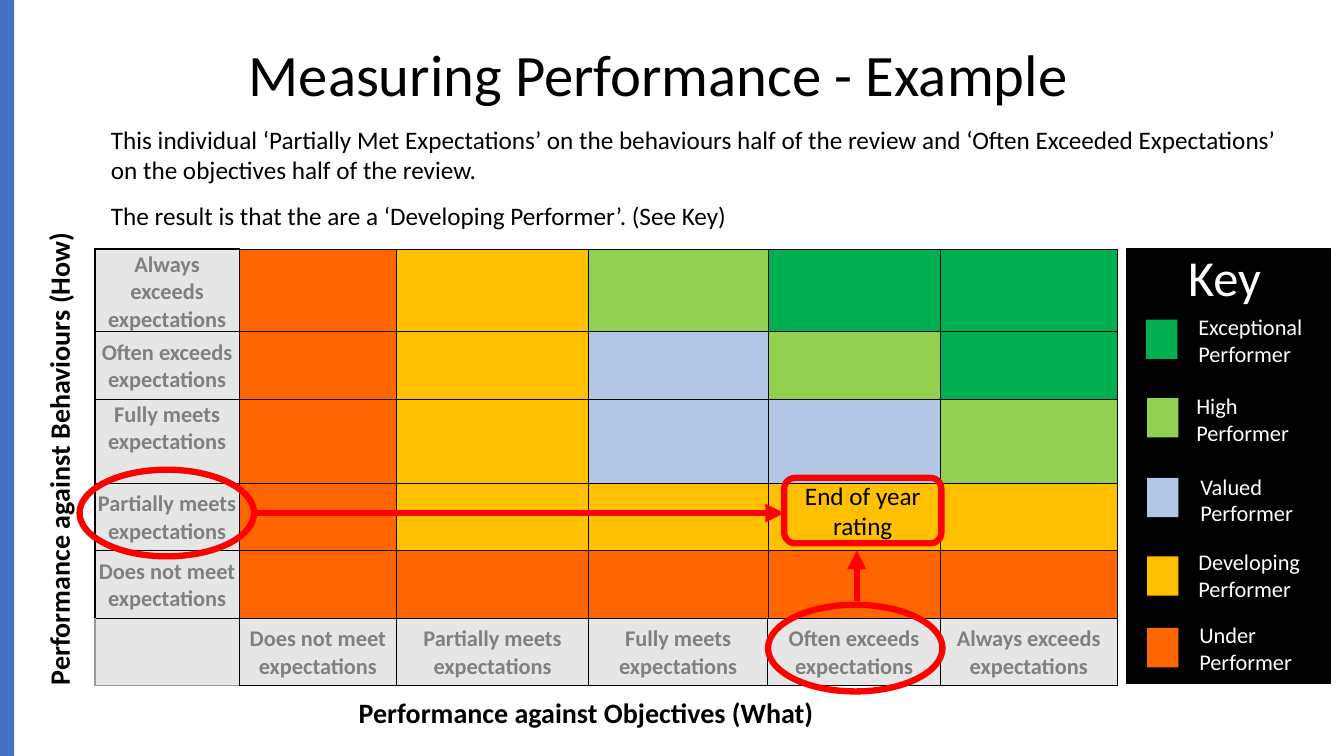
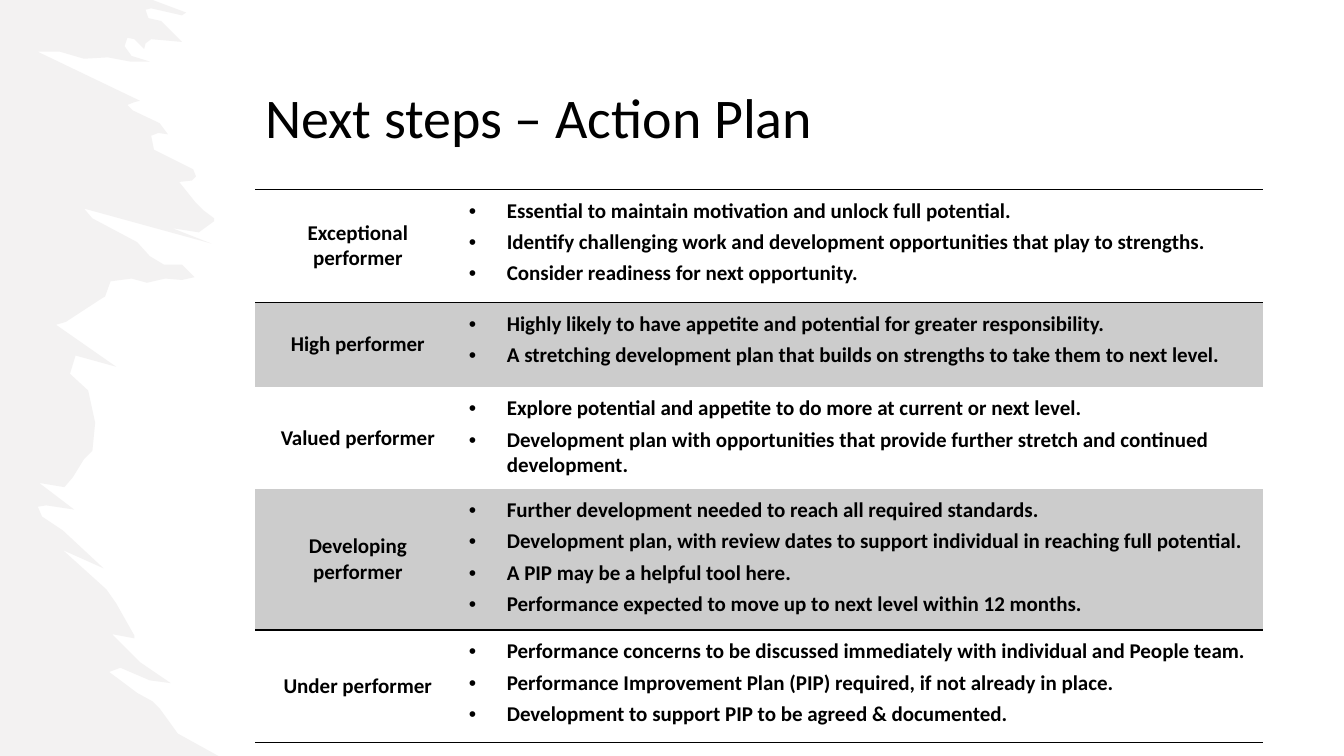
import pptx
import pptx.dml.color
import pptx.enum.shapes
import pptx.enum.text
import pptx.oxml
import pptx.oxml.ns
import pptx.util

Pt = pptx.util.Pt
RGBColor = pptx.dml.color.RGBColor
SHAPE = pptx.enum.shapes.MSO_SHAPE
ALIGN = pptx.enum.text.PP_ALIGN
ANCHOR = pptx.enum.text.MSO_ANCHOR

FONT = "Calibri"
BLACK = RGBColor(0x00, 0x00, 0x00)
WHITE = RGBColor(0xFF, 0xFF, 0xFF)
RED = RGBColor(0xFF, 0x00, 0x00)
BLUE = RGBColor(0x44, 0x72, 0xC4)
LABEL_FILL = RGBColor(0xE6, 0xE6, 0xE6)
LABEL_TEXT = RGBColor(0x80, 0x80, 0x80)
CORNER_LINE = RGBColor(0x99, 0x99, 0x99)
BAND = RGBColor(0xCC, 0xCC, 0xCC)
BRUSH = RGBColor(0xF3, 0xF2, 0xF2)
RATING_COLOURS = {
    "E": RGBColor(0x00, 0xB0, 0x50),
    "H": RGBColor(0x92, 0xD0, 0x50),
    "V": RGBColor(0xB4, 0xC6, 0xE7),
    "D": RGBColor(0xFF, 0xC0, 0x00),
    "U": RGBColor(0xFF, 0x66, 0x00),
}
PLAIN_TABLE = "{2D5ABB26-0587-4C30-8999-92F81FD0307C}"

LEVELS = [
    "Does not meet expectations",
    "Partially meets expectations",
    "Fully meets expectations",
    "Often exceeds expectations",
    "Always exceeds expectations",
]
RATINGS = ["UDHEE", "UDVHE", "UDVVH", "UDDDD", "UUUUU"]
MATRIX_COLUMNS = [102.96, 112.5, 137, 128.16, 123.12, 126.5]
MATRIX_ROWS = [48.24, 48.24, 60, 48.24, 48.24, 48.24]
KEY = [
    ("E", "Exceptional Performer", (818.64, 228.24), (848.88, 220.32)),
    ("H", "High Performer", (819.36, 284.4), (847.44, 276.48)),
    ("V", "Valued Performer", (819.36, 341.28), (850.32, 334.08)),
    ("D", "Developing Performer", (819.36, 397.44), (848.88, 388.08)),
    ("U", "Under Performer", (819.36, 448.56), (849.6, 439.92)),
]
EXPLANATION = [
    "This individual ‘Partially Met Expectations’ on the behaviours half of the review and "
    "‘Often Exceeded Expectations’ on the objectives half of the review.",
    "The result is that the are a ‘Developing Performer’. (See Key)",
]
CIRCLED = [(548.64, 432), (56.88, 335.52)]
ARROWS = [(180.72, 366.48, 560.16, 366.48), (612, 429.12, 612, 393.12)]

PLAN_COLUMNS = [146.88, 573.12]
PLAN = [
    ("Exceptional performer", 80.64, [
        "Essential to maintain motivation and unlock full potential.",
        "Identify challenging work and development opportunities that play to strengths.",
        "Consider readiness for next opportunity."]),
    ("High performer", 60.48, [
        "Highly likely to have appetite and potential for greater responsibility.",
        "A stretching development plan that builds on strengths to take them to next level."]),
    ("Valued performer", 72.72, [
        "Explore potential and appetite to do more at current or next level.",
        "Development plan with opportunities that provide further stretch and continued development."]),
    ("Developing performer", 100.8, [
        "Further development needed to reach all required standards.",
        "Development plan, with review dates to support individual in reaching full potential.",
        "A PIP may be a helpful tool here.",
        "Performance expected to move up to next level within 12 months."]),
    ("Under performer", 80.64, [
        "Performance concerns to be discussed immediately with individual and People team.",
        "Performance Improvement Plan (PIP) required, if not already in place.",
        "Development to support PIP to be agreed & documented."]),
]
RULED_ROWS = (0, 4)
BRUSH_EDGE = [
    (109, 0), (133, 9), (130, 11), (108, 6), (104, 7), (106, 13), (115, 15), (130, 30),
    (108, 28), (104, 31), (103, 35), (96, 28), (91, 27), (89, 33), (94, 40), (107, 44),
    (93, 44), (77, 41), (60, 42), (43, 37), (27, 37), (100, 72), (96, 73), (91, 75),
    (95, 79), (114, 88), (120, 96), (113, 95), (108, 97), (110, 107), (138, 121), (140, 126),
    (137, 129), (128, 130), (140, 145), (145, 150), (153, 156), (153, 158), (142, 166),
    (123, 163), (151, 174), (60, 149), (66, 156), (98, 173), (107, 183), (117, 189),
    (130, 189), (139, 198), (130, 200), (118, 199), (105, 202), (94, 199), (79, 201),
    (75, 212), (73, 213), (47, 230), (40, 232), (83, 262), (54, 254), (50, 267), (63, 279),
    (68, 302), (66, 322), (60, 328), (52, 341), (46, 348), (28, 345), (53, 364), (33, 361),
    (27, 362), (30, 369), (45, 379), (74, 406), (45, 393), (76, 421), (83, 431), (96, 454),
    (96, 456), (80, 453), (100, 473), (122, 488), (107, 486), (86, 477), (78, 480), (98, 495),
    (109, 501), (114, 506), (127, 524), (156, 540), (0, 540),
]


def write(frame, texts, size, colour=BLACK, bold=False, align=ALIGN.LEFT, before=0, after=0):
    frame.word_wrap = True
    for index, text in enumerate(texts):
        para = frame.add_paragraph() if index else frame.paragraphs[0]
        para.text = text
        para.alignment = align
        if index and before:
            para.space_before = Pt(before)
        if after:
            para.space_after = Pt(after)
        for span in para.runs:
            span.font.name = FONT
            span.font.size = Pt(size)
            span.font.bold = bold
            span.font.color.rgb = colour


def add_text(page, area, texts, size, anchor=ANCHOR.TOP, **style):
    box = page.shapes.add_textbox(*map(Pt, area))
    box.text_frame.vertical_anchor = anchor
    write(box.text_frame, texts, size, **style)
    return box


def add_title(page, area, text, size, spacing):
    box = add_text(page, area, [text], size, ANCHOR.BOTTOM, after=6)
    box.text_frame.paragraphs[0].line_spacing = spacing


def paint(shape, fill, line=None, width=1):
    shape.shadow.inherit = False
    if fill is None:
        shape.fill.background()
    else:
        shape.fill.solid()
        shape.fill.fore_color.rgb = fill
    if line is None:
        shape.line.fill.background()
    else:
        shape.line.color.rgb = line
        shape.line.width = Pt(width)


def add_block(page, area, fill=None, line=None, width=1, kind=SHAPE.RECTANGLE):
    block = page.shapes.add_shape(kind, *map(Pt, area))
    paint(block, fill, line, width)
    return block


def add_arrow(page, ends):
    arrow = page.shapes.add_connector(pptx.enum.shapes.MSO_CONNECTOR.STRAIGHT, *map(Pt, ends))
    arrow.line.color.rgb = RED
    arrow.line.width = Pt(4.5)
    props = arrow._element.spPr
    props.find(pptx.oxml.ns.qn("a:ln")).append(pptx.oxml.parse_xml(
        f'<a:tailEnd {pptx.oxml.ns.nsdecls("a")} type="triangle"/>'))
    props.append(pptx.oxml.parse_xml(f'<a:effectLst {pptx.oxml.ns.nsdecls("a")}/>'))


def add_grid(page, left, top, columns, rows):
    frame = page.shapes.add_table(len(rows), len(columns), Pt(left), Pt(top),
                                  Pt(sum(columns)), Pt(sum(rows)))
    grid = frame.table
    grid.first_row = grid.horz_banding = False
    grid._tbl.tblPr.find(pptx.oxml.ns.qn("a:tableStyleId")).text = PLAIN_TABLE
    for column, width in zip(grid.columns, columns):
        column.width = Pt(width)
    for row, height in zip(grid.rows, rows):
        row.height = Pt(height)
    return grid


def format_cell(cell, fill, borders, margins=(1.5, 1.5, 1.5, 0), anchor=ANCHOR.MIDDLE):
    for side in "LRTB":
        if side in borders:
            colour, width = borders[side]
            cell._tc.get_or_add_tcPr().append(pptx.oxml.parse_xml(
                f'<a:ln{side} {pptx.oxml.ns.nsdecls("a")} w="{Pt(width)}"><a:solidFill>'
                f'<a:srgbClr val="{colour}"/></a:solidFill></a:ln{side}>'))
    if fill is None:
        cell.fill.background()
    else:
        cell.fill.solid()
        cell.fill.fore_color.rgb = fill
    cell.margin_left, cell.margin_top, cell.margin_right, cell.margin_bottom = map(Pt, margins)
    cell.vertical_anchor = anchor


def add_bullet(para):
    props = para._p.get_or_add_pPr()
    props.set("marL", str(Pt(27)))
    props.set("indent", str(-Pt(27)))
    props.append(pptx.oxml.parse_xml(f'<a:buFont {pptx.oxml.ns.nsdecls("a")} typeface="Arial"/>'))
    props.append(pptx.oxml.parse_xml(f'<a:buChar {pptx.oxml.ns.nsdecls("a")} char="•"/>'))


def fill_matrix(grid):
    labels = LEVELS[::-1] + [""]
    for row, label in enumerate(labels):
        for column in range(len(MATRIX_COLUMNS)):
            cell = grid.cell(row, column)
            is_corner = row == len(RATINGS) and column == 0
            is_label = row == len(RATINGS) or column == 0
            borders = dict.fromkeys("LRTB", (BLACK, 1 if is_label else 0.5))
            if is_corner:
                borders.update(L=(CORNER_LINE, 1), B=(CORNER_LINE, 1))
            fill = LABEL_FILL if is_label else RATING_COLOURS[RATINGS[row][column - 1]]
            anchor = ANCHOR.TOP if column == 0 and label == LEVELS[2] else ANCHOR.MIDDLE
            format_cell(cell, fill, borders, anchor=anchor)
            if is_label and not is_corner:
                text = label if column == 0 else LEVELS[column - 1]
                write(cell.text_frame, [text], 16, LABEL_TEXT, True, ALIGN.CENTER)


def build_example(page):
    add_block(page, (804.96, 177.84, 145.44, 310.32), BLACK, BLACK)
    add_title(page, (170.64, 5.76, 619.2, 73.44), "Measuring Performance - Example", 41.9, 0.7)
    add_block(page, (0, 0, 10.08, 540), BLUE)
    fill_matrix(add_grid(page, 67.9, 177.84, MATRIX_COLUMNS, MATRIX_ROWS))
    add_text(page, (249.12, 493.2, 440.64, 31.68), ["Performance against Objectives (What)"],
             20, bold=True)
    side = add_text(page, (-172.08, 266.4, 428.4, 31.68), ["Performance against Behaviours (How)"],
                    20, bold=True)
    side.rotation = 270
    for rating, label, swatch_at, label_at in KEY:
        add_block(page, (*swatch_at, 22.32, 28.08), RATING_COLOURS[rating])
        add_text(page, (*label_at, 100.8, 46.08), [label], 16, colour=WHITE)
    add_text(page, (841.68, 172.08, 118.08, 51.12), ["Key"], 36, colour=WHITE)
    for position in CIRCLED:
        add_block(page, (*position, 124.56, 61.92), None, RED, 4.5, SHAPE.OVAL)
    for ends in ARROWS:
        add_arrow(page, ends)
    rating_box = add_block(page, (560.16, 341.28, 112.32, 46.8), None, RED, 4.5,
                           SHAPE.ROUNDED_RECTANGLE)
    rating_box.text_frame.vertical_anchor = ANCHOR.MIDDLE
    write(rating_box.text_frame, ["End of year rating"], 18, align=ALIGN.CENTER)
    add_text(page, (72.2, 90, 861.12, 73.44), EXPLANATION, 18, ANCHOR.MIDDLE, before=11)


def build_plan(page):
    outline = page.shapes.build_freeform(0, 0, scale=Pt(1))
    outline.add_line_segments(BRUSH_EDGE, close=True)
    paint(outline.convert_to_shape(), BRUSH)
    grid = add_grid(page, 182.16, 135.36, PLAN_COLUMNS, [height for _, height, _ in PLAN])
    for row, (performer, _, steps) in enumerate(PLAN):
        fill = BAND if row % 2 else None
        borders = dict.fromkeys("TB", (BLACK, 1)) if row in RULED_ROWS else {}
        name, actions = grid.cell(row, 0), grid.cell(row, 1)
        format_cell(name, fill, borders, (6, 0, 6, 0))
        write(name.text_frame, [performer], 15, bold=True, align=ALIGN.CENTER, after=4)
        format_cell(actions, fill, borders, (6, 6.3, 6, 0), ANCHOR.TOP)
        write(actions.text_frame, steps, 15, bold=True, after=4)
        for para in actions.text_frame.paragraphs:
            add_bullet(para)
    add_title(page, (182.4, 37.44, 586.08, 73.44), "Next steps – Action Plan", 40, 0.9)


def main():
    deck = pptx.Presentation()
    deck.slide_width, deck.slide_height = Pt(960), Pt(540)
    for build in (build_example, build_plan):
        build(deck.slides.add_slide(deck.slide_layouts[6]))
    deck.save("out.pptx")


if __name__ == "__main__":
    main()
